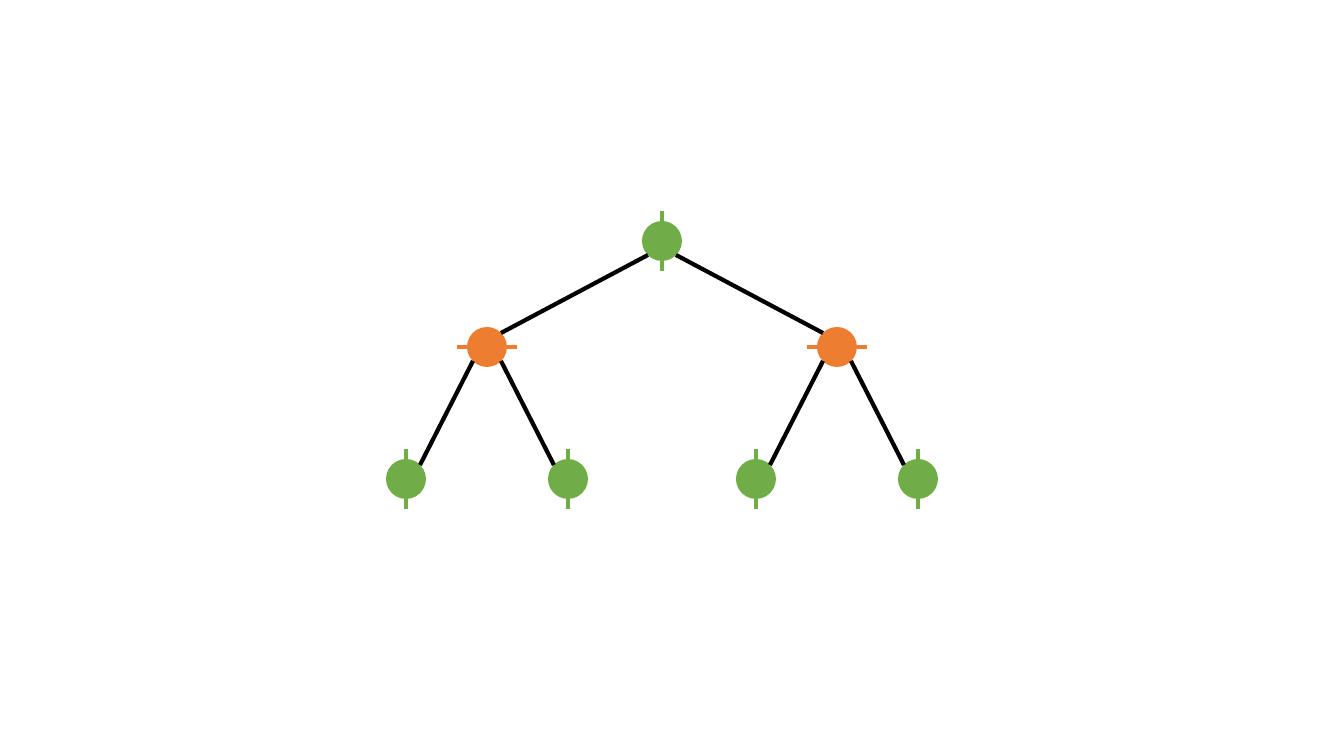
import pptx
import pptx.dml.color
import pptx.enum.shapes
import pptx.oxml
import pptx.util

PX = 914400 / 100.8
THEME = {
    "vertical": pptx.dml.color.RGBColor.from_string("70AD47"),
    "horizontal": pptx.dml.color.RGBColor.from_string("ED7D31"),
    "edge": pptx.dml.color.RGBColor.from_string("000000"),
    "line_width": pptx.util.Pt(3),
}
RADIUS = 20
TICK_END = 30
DIAGONAL = 14


def px(length):
    return pptx.util.Emu(round(length * PX))


def add_line(shapes, start, end, color):
    connector = shapes.add_connector(
        pptx.enum.shapes.MSO_CONNECTOR.STRAIGHT,
        px(start[0]), px(start[1]), px(end[0]), px(end[1]),
    )
    connector.line.color.rgb = color
    connector.line.width = THEME["line_width"]
    connector._element.spPr.append(pptx.oxml.parse_xml(
        '<a:effectLst xmlns:a="http://schemas.openxmlformats.org/drawingml/2006/main"/>'
    ))


presentation = pptx.Presentation()
presentation.slide_width = px(1344)
presentation.slide_height = px(756)
slide = presentation.slides.add_slide(presentation.slide_layouts[6])

root = (662, 241)
branches = [(root[0] + side * 175, 347) for side in (-1, 1)]
leaves = [(x + side * 81, 479) for x, y in branches for side in (-1, 1)]
levels = [([root], "vertical"), (branches, "horizontal"), (leaves, "vertical")]

for nodes, split in levels:
    for x, y in nodes:
        group = slide.shapes.add_group_shape()
        circle = group.shapes.add_shape(
            pptx.enum.shapes.MSO_SHAPE.OVAL,
            px(x - RADIUS), px(y - RADIUS), px(2 * RADIUS), px(2 * RADIUS),
        )
        circle.shadow.inherit = False
        circle.fill.solid()
        circle.fill.fore_color.rgb = THEME[split]
        circle.line.fill.background()
        step_x, step_y = (0, 1) if split == "vertical" else (1, 0)
        for side in (-1, 1):
            start, end = [
                (x + side * step_x * reach, y + side * step_y * reach)
                for reach in (RADIUS, TICK_END)
            ]
            add_line(group.shapes, start, end, THEME[split])

edges = [(root, branch) for branch in branches]
edges += [(branches[index // 2], leaf) for index, leaf in enumerate(leaves)]
for parent, child in edges:
    offset = DIAGONAL if child[0] > parent[0] else -DIAGONAL
    add_line(
        slide.shapes,
        (parent[0] + offset, parent[1] + DIAGONAL),
        (child[0] - offset, child[1] - DIAGONAL),
        THEME["edge"],
    )

presentation.save("out.pptx")
